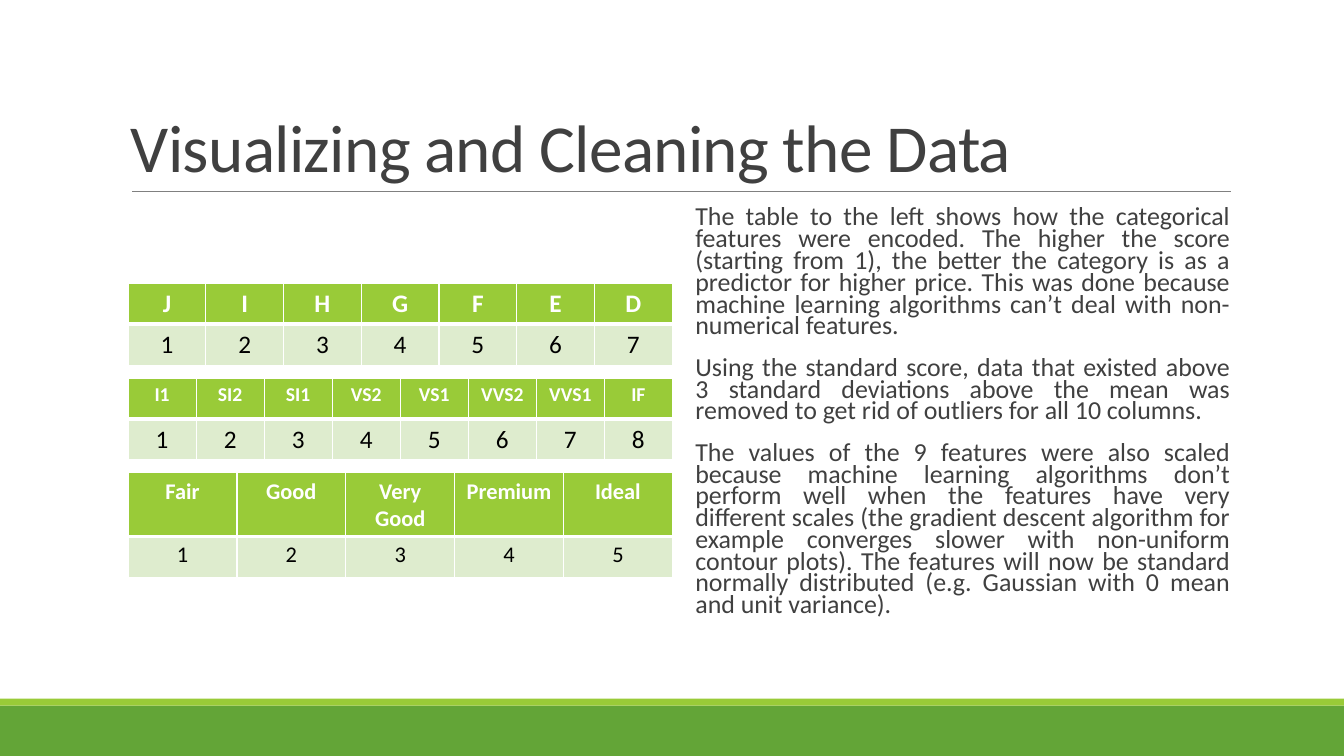
from dataclasses import dataclass

from lxml import etree
from pptx import Presentation
from pptx import util as u
from pptx.dml.color import RGBColor
from pptx.enum import shapes, text
from pptx.oxml.ns import qn
from pptx.slide import Slide
from pptx.table import _Cell as Cell
from pptx.text.text import TextFrame

GRID = 100
FONT = "Calibri"
WHITE, BLACK, INK, GRAY = "FFFFFF", "000000", "404040", "808080"
LIME, GREEN, PALE = "99CB38", "63A537", "DEECCE"
TABLE_LEFT, TABLE_TOP, TABLE_STEP = 9.53, 37.47, 12.53
TABLE_WIDTH, ROW_HEIGHT = 40.5, 5.42
THIN, THICK = 1, 3

deck = Presentation()
deck.slide_width, deck.slide_height = u.Inches(13.33), u.Inches(7.5)


@dataclass
class Area:
    column: float
    row: float
    columns: float
    rows: float

    def place(self) -> tuple[int, int, int, int]:
        return across(self.column), down(self.row), across(self.columns), down(self.rows)


@dataclass
class Band:
    area: Area
    color: str


@dataclass
class Encoding:
    categories: list[str]
    category_size: float
    score_size: float


BANDS = [
    Band(Area(0, 93.33, 100, 6.67), GREEN),
    Band(Area(0, 92.4, 100, 0.93), LIME),
]
ENCODINGS = [
    Encoding(["J", "I", "H", "G", "F", "E", "D"], 18, 18),
    Encoding(["I1", "SI2", "SI1", "VS2", "VS1", "VVS2", "VVS1", "IF"], 14, 18),
    Encoding(["Fair", "Good", "Very Good", "Premium", "Ideal"], 16, 16),
]
EXPLANATION = [
    "The table to the left shows how the categorical features were encoded. "
    "The higher the score (starting from 1), the better the category is as a "
    "predictor for higher price. This was done because machine learning "
    "algorithms can’t deal with non-numerical features.",
    "Using the standard score, data that existed above 3 standard deviations "
    "above the mean was removed to get rid of outliers for all 10 columns.",
    "The values of the 9 features were also scaled because machine learning "
    "algorithms don’t perform well when the features have very different scales "
    "(the gradient descent algorithm for example converges slower with "
    "non-uniform contour plots). The features will now be standard normally "
    "distributed (e.g. Gaussian with 0 mean and unit variance).",
]


def across(columns: float) -> int:
    return round(deck.slide_width * columns / GRID)


def down(rows: float) -> int:
    return round(deck.slide_height * rows / GRID)


def paint(color: str) -> RGBColor:
    return RGBColor.from_string(color)


def style(para, size: float, color: str, bold: bool = False) -> None:
    para.font.name, para.font.size, para.font.bold = FONT, u.Pt(size), bold
    para.font.color.rgb = paint(color)


def draw_band(page: Slide, band: Band) -> None:
    box = page.shapes.add_shape(shapes.MSO_SHAPE.RECTANGLE, *band.area.place())
    box.shadow.inherit = False
    box.fill.solid()
    box.fill.fore_color.rgb = paint(band.color)
    box.line.fill.background()


def draw_rule(page: Slide, left: float, right: float, row: float) -> None:
    rule = page.shapes.add_connector(
        shapes.MSO_CONNECTOR.STRAIGHT, across(left), down(row), across(right), down(row))
    rule.line.color.rgb = paint(GRAY)
    rule.line.width = u.Pt(0.5)
    etree.SubElement(rule._element.spPr, qn("a:effectLst"))


def add_text(page: Slide, area: Area) -> TextFrame:
    frame = page.shapes.add_textbox(*area.place()).text_frame
    frame.word_wrap = True
    return frame


def draw_title(page: Slide, area: Area, wording: str) -> None:
    frame = add_text(page, area)
    frame.vertical_anchor = text.MSO_ANCHOR.BOTTOM
    para = frame.paragraphs[0]
    para.line_spacing = 0.85
    style(para, 48, INK)
    span = para.add_run()
    span.text = wording
    span._r.get_or_add_rPr().set("spc", "-50")


def draw_explanation(page: Slide, area: Area, wordings: list[str]) -> None:
    frame = add_text(page, area)
    frame.margin_left, frame.margin_right = u.Inches(0.1), 0
    frame.text = "\n".join(wordings)
    for para in frame.paragraphs:
        para.alignment = text.PP_ALIGN.JUSTIFY
        para.line_spacing = 0.7
        para.space_before, para.space_after = u.Pt(12), u.Pt(2)
        style(para, 18.5, INK)


def draw_borders(cell: Cell, top: float, bottom: float) -> None:
    properties = cell._tc.get_or_add_tcPr()
    for side, width in (("L", THIN), ("R", THIN), ("T", top), ("B", bottom)):
        edge = etree.SubElement(properties, qn(f"a:ln{side}"), w=str(u.Pt(width)))
        fill = etree.SubElement(edge, qn("a:solidFill"))
        etree.SubElement(fill, qn("a:srgbClr"), val=WHITE)


def fill_cell(cell: Cell, wording: str, size: float, header: bool) -> None:
    draw_borders(cell, *((THIN, THICK) if header else (THICK, THIN)))
    cell.fill.solid()
    cell.fill.fore_color.rgb = paint(LIME if header else PALE)
    cell.text = wording
    para = cell.text_frame.paragraphs[0]
    para.alignment = text.PP_ALIGN.CENTER
    style(para, size, WHITE if header else BLACK, header)


def draw_encoding(page: Slide, encoding: Encoding, row: float) -> None:
    count = len(encoding.categories)
    area = Area(TABLE_LEFT, row, TABLE_WIDTH, 2 * ROW_HEIGHT)
    table = page.shapes.add_table(2, count, *area.place()).table
    for index, category in enumerate(encoding.categories):
        table.columns[index].width = across(TABLE_WIDTH / count)
        fill_cell(table.cell(0, index), category, encoding.category_size, True)
        fill_cell(table.cell(1, index), str(index + 1), encoding.score_size, False)


def main() -> None:
    page = deck.slides.add_slide(deck.slide_layouts[6])
    for band in BANDS:
        draw_band(page, band)
    draw_rule(page, 9.83, 91.58, 25.33)
    draw_title(page, Area(9, 4.13, 82.5, 21.2), "Visualizing and Cleaning the Data")
    draw_explanation(page, Area(51, 26.93, 40.5, 58.67), EXPLANATION)
    for index, encoding in enumerate(ENCODINGS):
        draw_encoding(page, encoding, TABLE_TOP + index * TABLE_STEP)
    deck.save("out.pptx")


if __name__ == "__main__":
    main()
